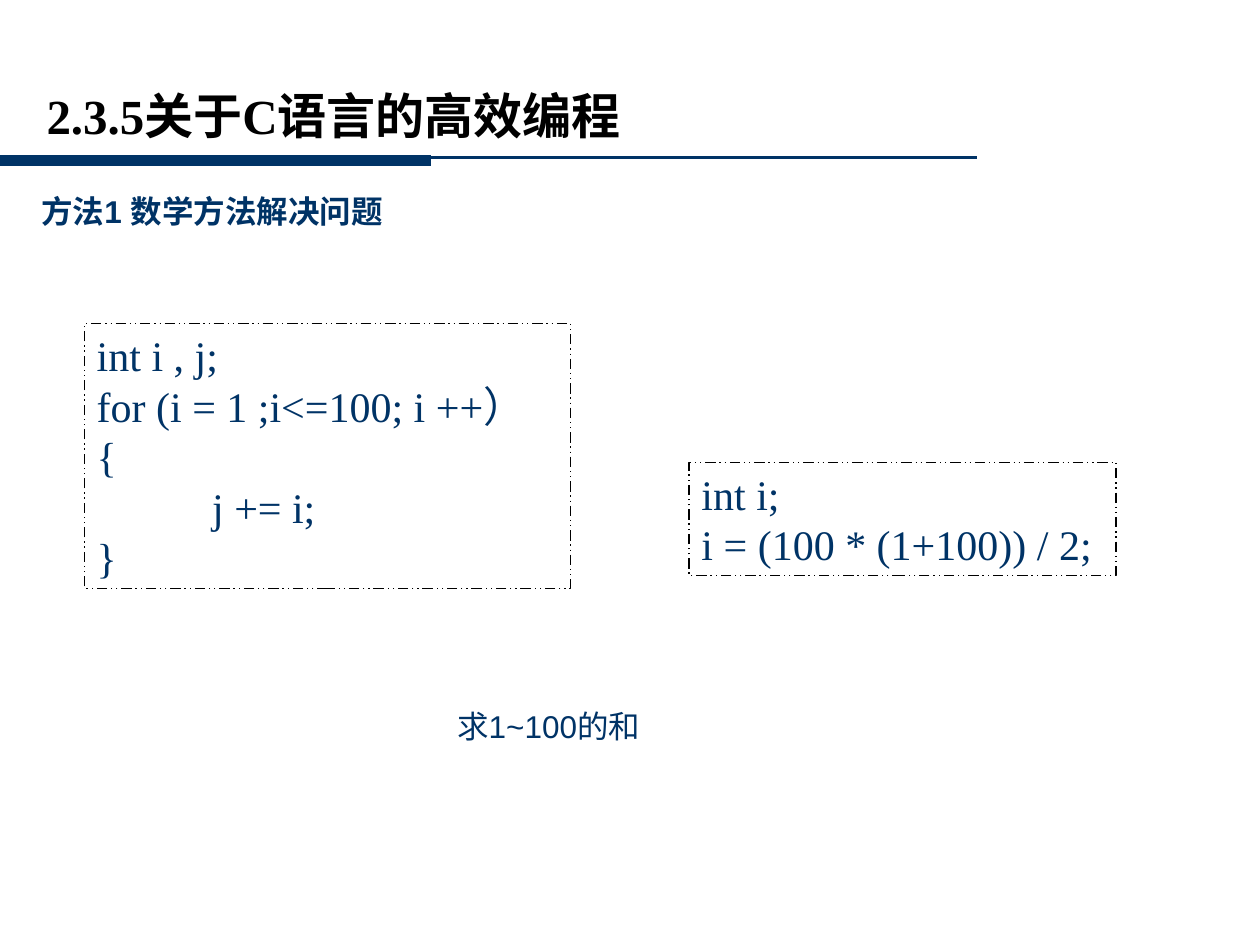
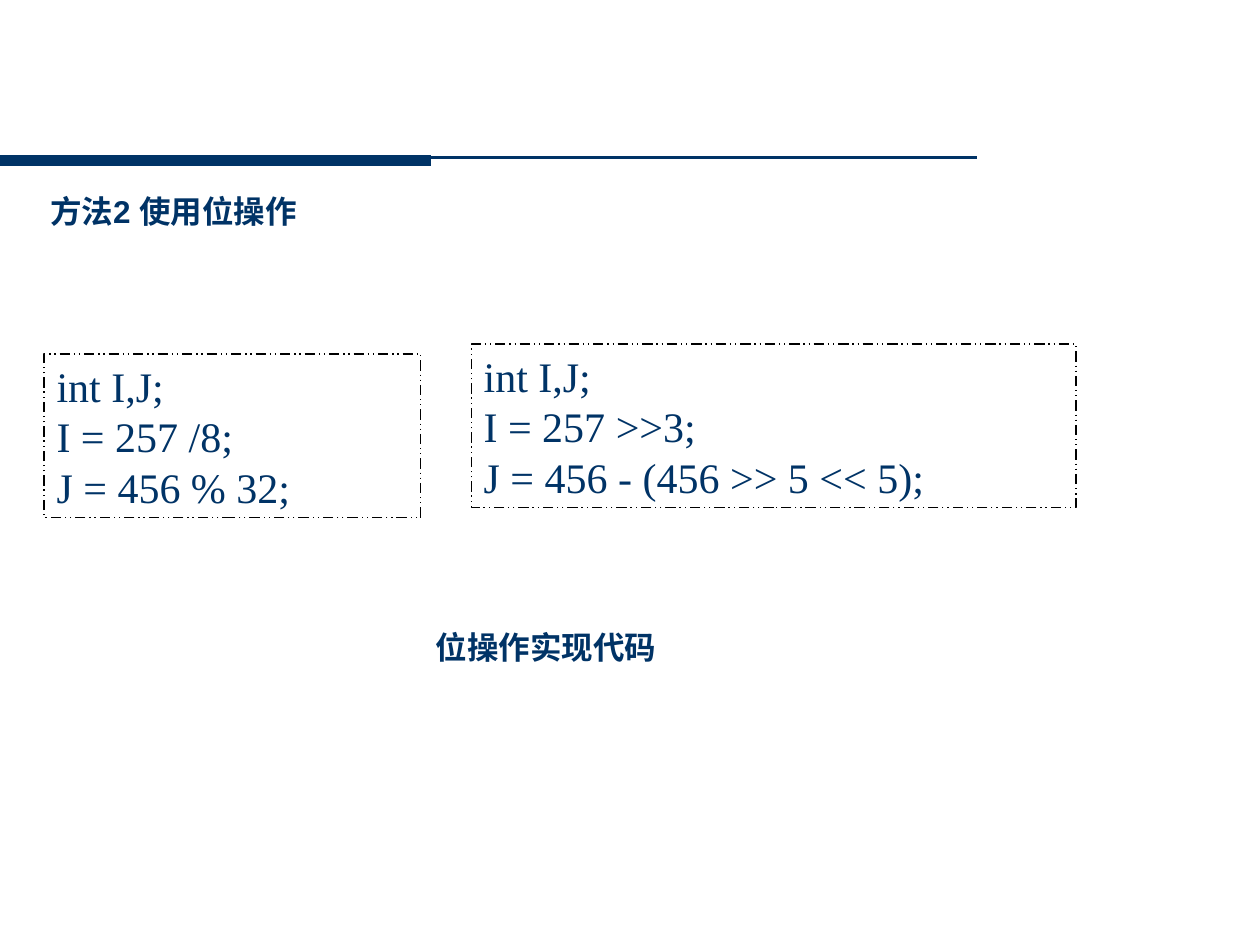
from dataclasses import dataclass

from lxml.etree import SubElement
from pptx import Presentation
from pptx.dml.color import RGBColor
from pptx.enum.dml import MSO_LINE
from pptx.enum.shapes import MSO_CONNECTOR, MSO_SHAPE
from pptx.enum.text import MSO_ANCHOR, MSO_AUTO_SIZE, PP_ALIGN
from pptx.oxml.ns import qn
from pptx.util import Pt


@dataclass(frozen=True)
class Theme:
    navy: RGBColor = RGBColor(0x00, 0x33, 0x66)
    black: RGBColor = RGBColor(0x00, 0x00, 0x00)
    serif: str = "Times New Roman"
    sans: str = "Arial"
    title_size: int = 28
    code_size: int = 24
    label_size: int = 18


THEME = Theme()
TITLE_FONT = dict(name=THEME.serif, size=Pt(THEME.title_size), bold=True)
CODE_FONT = dict(name=THEME.serif, size=Pt(THEME.code_size), bold=False)
LABEL_FONT = dict(name=THEME.sans, size=Pt(THEME.label_size))
LABEL_HEIGHT = 29
HEADING_TOP = 105.8
CODE_LINE_HEIGHT = 28.8
CODE_PADDING = 7.2
TITLE_ONLY, BLANK = 5, 6


def set_attributes(target, values):
    for name, value in values.items():
        setattr(target, name, value)


def write(frame, lines, font, color, align=PP_ALIGN.LEFT):
    for index, line in enumerate(lines):
        para = frame.add_paragraph() if index else frame.paragraphs[0]
        para.alignment = align
        span = para.add_run()
        span.text = line
        set_attributes(span.font, font)
        span.font.color.rgb = color


def add_header_band(deck, page):
    """Draw the two header rules and move them to the master, for all slides."""
    rules = [(558, 90, 1.5), (246.2, 91.6, 6)]
    for shape_id, (right, top, weight) in enumerate(rules, 101):
        rule = page.shapes.add_connector(
            MSO_CONNECTOR.STRAIGHT, Pt(0), Pt(top), Pt(right), Pt(top))
        rule.line.color.rgb = THEME.navy
        rule.line.width = Pt(weight)
        SubElement(rule.element.spPr, qn("a:effectLst"))
        rule.element.nvCxnSpPr.cNvPr.id = shape_id
        deck.slide_master.shapes.element.append(rule.element)


def set_title(page, text):
    title = page.shapes.title
    set_attributes(title, dict(left=Pt(19.4), top=Pt(43.2),
                               width=Pt(606.2), height=Pt(44.6)))
    set_attributes(title.text_frame, dict(vertical_anchor=MSO_ANCHOR.MIDDLE,
                                          auto_size=MSO_AUTO_SIZE.NONE))
    write(title.text_frame, [text], TITLE_FONT, THEME.black)


def add_label(page, text, left, top, width, bold=True):
    box = page.shapes.add_textbox(Pt(left), Pt(top), Pt(width), Pt(LABEL_HEIGHT))
    set_attributes(box.text_frame, dict(word_wrap=False,
                                        vertical_anchor=MSO_ANCHOR.MIDDLE,
                                        auto_size=MSO_AUTO_SIZE.SHAPE_TO_FIT_TEXT))
    write(box.text_frame, [text], dict(LABEL_FONT, bold=bold), THEME.navy)


def add_code_box(page, lines, left, top, width):
    height = len(lines) * CODE_LINE_HEIGHT + CODE_PADDING
    box = page.shapes.add_shape(
        MSO_SHAPE.RECTANGLE, Pt(left), Pt(top), Pt(width), Pt(height))
    box.shadow.inherit = False
    box.fill.background()
    box.line.color.rgb = THEME.black
    set_attributes(box.line, dict(width=Pt(0.75),
                                  dash_style=MSO_LINE.DASH_DOT_DOT))
    set_attributes(box.text_frame, dict(word_wrap=True,
                                        vertical_anchor=MSO_ANCHOR.TOP,
                                        auto_size=MSO_AUTO_SIZE.SHAPE_TO_FIT_TEXT))
    write(box.text_frame, lines, CODE_FONT, THEME.navy, PP_ALIGN.JUSTIFY)


def build_sum_page(page):
    set_title(page, "2.3.5关于C语言的高效编程")
    add_label(page, "方法1 数学方法解决问题", 16.6, HEADING_TOP, 218.2)
    loop = ["int i , j;", "for (i = 1 ;i<=100; i ++）", "{",
            "           j += i;", "}"]
    add_code_box(page, loop, 48.2, 185, 278)
    add_code_box(page, ["int i;", "i = (100 * (1+100)) / 2;"], 393.8, 264.2, 244)
    add_label(page, "求1~100的和", 254.2, 400.3, 127.4, bold=False)


def build_bit_page(page):
    add_label(page, "方法2 使用位操作", 21.6, HEADING_TOP, 164.2)
    add_code_box(page, ["int I,J;", "I = 257 /8;", "J = 456 % 32;"],
                 25.2, 202.3, 215.3)
    add_code_box(page, ["int I,J;", "I = 257 >>3;", "J = 456 - (456 >> 5 << 5);"],
                 269.3, 196.6, 345.6)
    add_label(page, "位操作实现代码", 241.9, 355, 144)


def main():
    deck = Presentation()
    set_attributes(deck, dict(slide_width=Pt(720), slide_height=Pt(540)))
    sum_page = deck.slides.add_slide(deck.slide_layouts[TITLE_ONLY])
    add_header_band(deck, sum_page)
    build_sum_page(sum_page)
    build_bit_page(deck.slides.add_slide(deck.slide_layouts[BLANK]))
    deck.save("out.pptx")


if __name__ == "__main__":
    main()
